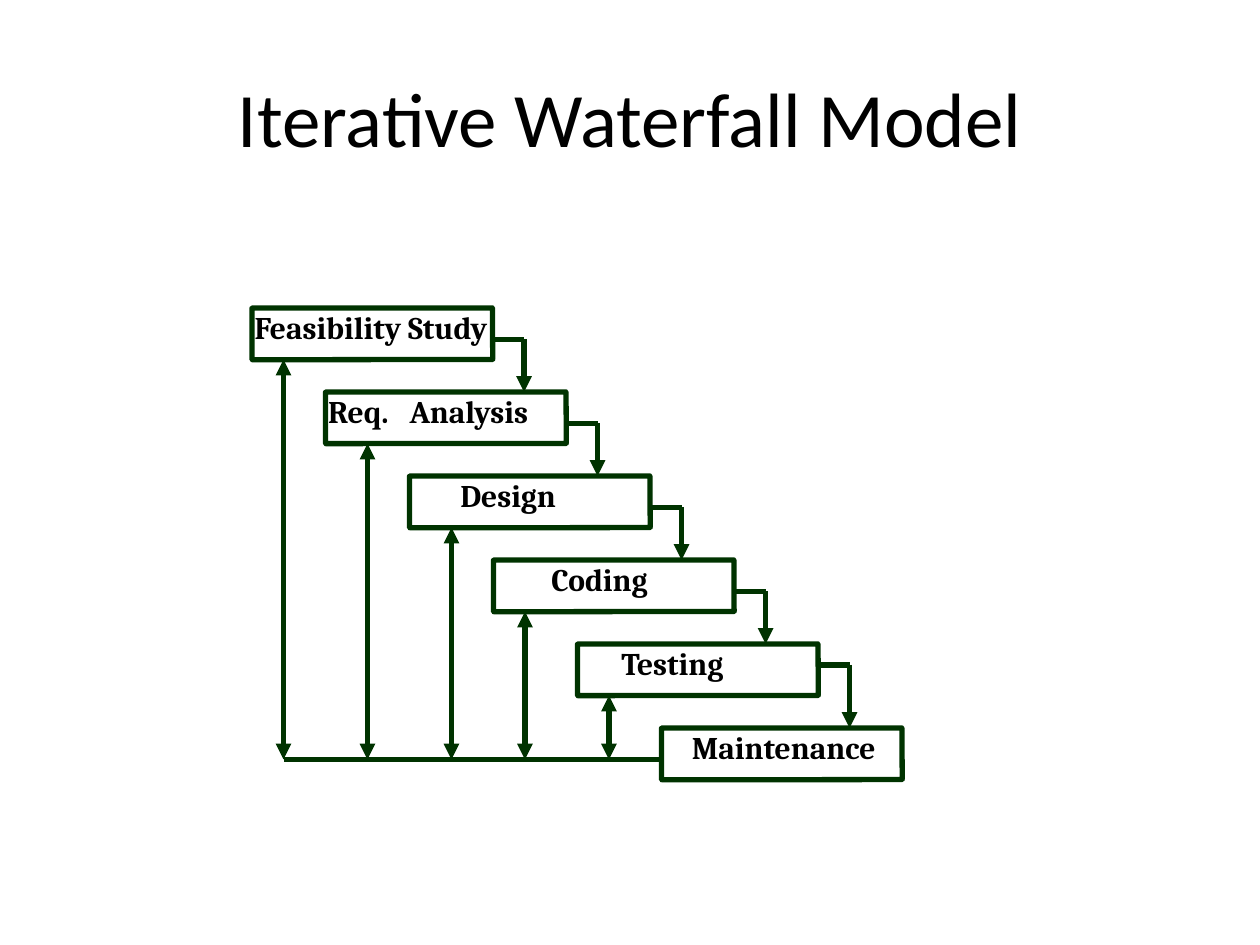
from lxml.etree import SubElement
from pptx import Presentation
from pptx.dml.color import RGBColor
from pptx.enum.shapes import MSO_CONNECTOR as CONNECTOR, MSO_SHAPE as SHAPE
from pptx.enum.text import MSO_ANCHOR as ANCHOR, PP_ALIGN as ALIGN
from pptx.oxml.ns import qn
from pptx.util import Pt

BLACK = RGBColor(0x00, 0x00, 0x00)
GREEN = RGBColor(0x00, 0x33, 0x00)

BOX_W, BOX_H = 137.5, 29.5
TOP, STEP = 176, 48
RAIL_Y = 434
ELBOW = 18

# name, box left, text indent, feedback arrow offset, drop of the elbow's start
PHASES = [
    ("Feasibility Study", 144, 0, 18, 18),
    ("Req.\tAnalysis", 186, 0, 24, 18),
    ("Design", 234, 27.5, 24, 18),
    ("Coding", 282, 31.5, 18, 18),
    ("Testing", 330, 23.5, 18, 12),
    ("Maintenance", 378, 15.75, None, None),
]
TAB_STOP = 46.5


class Diagram:
    title_font, box_font = "Calibri", "Cambria"
    title_size, box_size = 44, 18
    line_width = 3

    def __init__(self, slide):
        self.slide = slide

    def style_text(self, p, font, size, bold=False):
        for r in p.runs:
            r.font.name, r.font.size, r.font.bold = font, Pt(size), bold
            r.font.color.rgb = BLACK

    def style_line(self, line):
        line.color.rgb = GREEN
        line.width = Pt(self.line_width)

    def title(self, text):
        sp = self.slide.shapes.title
        sp.left, sp.top, sp.width, sp.height = Pt(36), Pt(21.6), Pt(648), Pt(90)
        tf = sp.text_frame
        tf.text = text
        tf.vertical_anchor = ANCHOR.MIDDLE
        p = tf.paragraphs[0]
        p.alignment = ALIGN.CENTER
        self.style_text(p, self.title_font, self.title_size)

    def box(self, text, left, top, indent):
        sp = self.slide.shapes.add_shape(
            SHAPE.ROUNDED_RECTANGLE, Pt(left), Pt(top), Pt(BOX_W), Pt(BOX_H))
        sp.adjustments[0] = 0.004
        sp.shadow.inherit = False
        sp.fill.background()
        self.style_line(sp.line)
        tf = sp.text_frame
        tf.text = text
        tf.word_wrap = True
        tf.vertical_anchor = ANCHOR.TOP
        tf.margin_left, tf.margin_right = Pt(1.5 + indent), 0
        tf.margin_top = tf.margin_bottom = Pt(3.6)
        p = tf.paragraphs[0]
        p.alignment = ALIGN.LEFT
        p.line_spacing = 0.85
        self.style_text(p, self.box_font, self.box_size, bold=True)
        if "\t" in text:
            self.tab_stop(p)

    def tab_stop(self, p):
        tabs = SubElement(p._p.get_or_add_pPr(), qn("a:tabLst"))
        SubElement(tabs, qn("a:tab"), pos=str(Pt(TAB_STOP)), algn="l")

    def line(self, x1, y1, x2, y2, head=False, tail=False):
        """Draw a line with optional arrowheads at its start (head) and end (tail)."""
        cxn = self.slide.shapes.add_connector(
            CONNECTOR.STRAIGHT, Pt(x1), Pt(y1), Pt(x2), Pt(y2))
        self.style_line(cxn.line)
        ln = cxn.line._get_or_add_ln()
        for wanted, tag in ((head, "a:headEnd"), (tail, "a:tailEnd")):
            if wanted:
                SubElement(ln, qn(tag), type="triangle")
        SubElement(cxn._element.spPr, qn("a:effectLst"))


def main():
    prs = Presentation()
    prs.slide_width, prs.slide_height = Pt(720), Pt(540)
    diagram = Diagram(prs.slides.add_slide(prs.slide_layouts[5]))
    diagram.title("Iterative Waterfall Model")

    for i, (name, left, indent, feedback, drop) in enumerate(PHASES):
        top = TOP + i * STEP
        diagram.box(name, left, top, indent)
        if feedback is None:
            continue
        start_x, start_y = left + BOX_W, top + drop
        corner_x = start_x + ELBOW
        diagram.line(start_x, start_y, corner_x, start_y)
        diagram.line(corner_x, start_y, corner_x, top + STEP, tail=True)
        diagram.line(left + feedback, RAIL_Y, left + feedback, top + BOX_H,
                     head=True, tail=True)

    first, last = PHASES[0], PHASES[-1]
    diagram.line(last[1], RAIL_Y, first[1] + first[3], RAIL_Y)
    prs.save("out.pptx")


if __name__ == "__main__":
    main()
